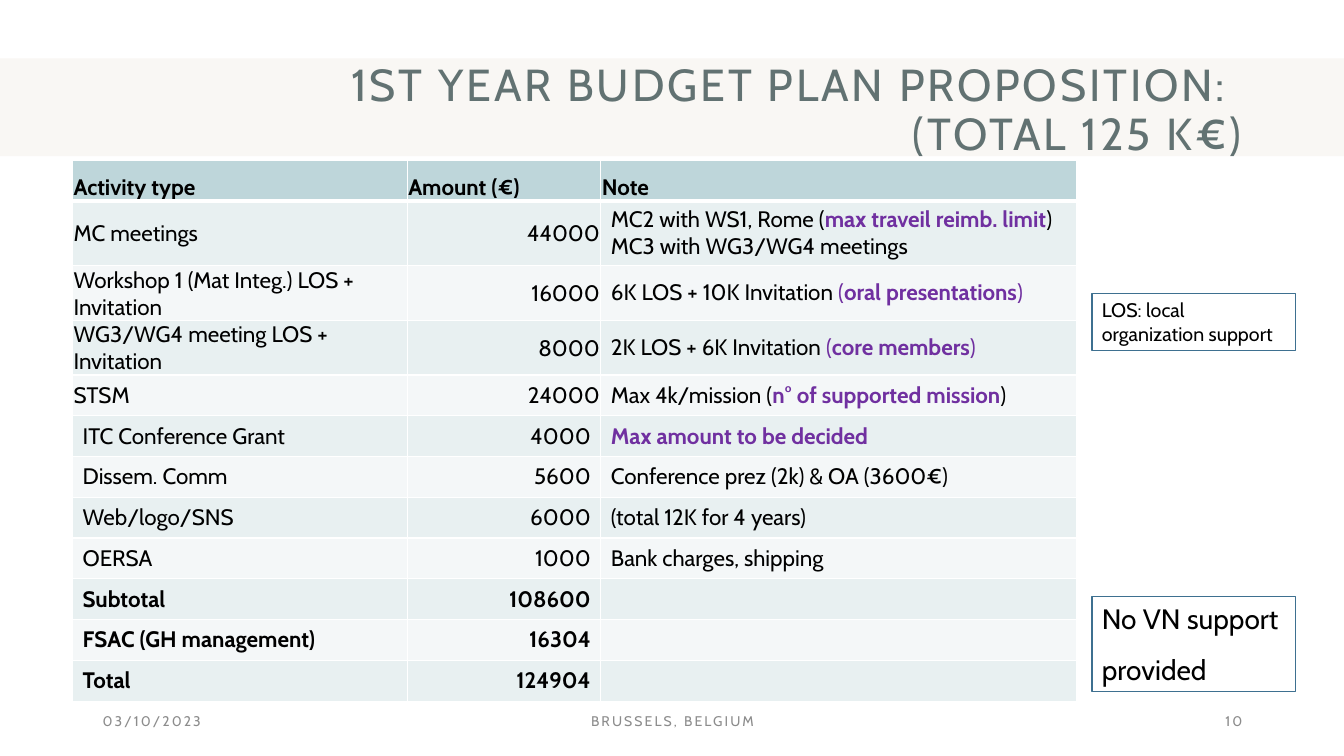
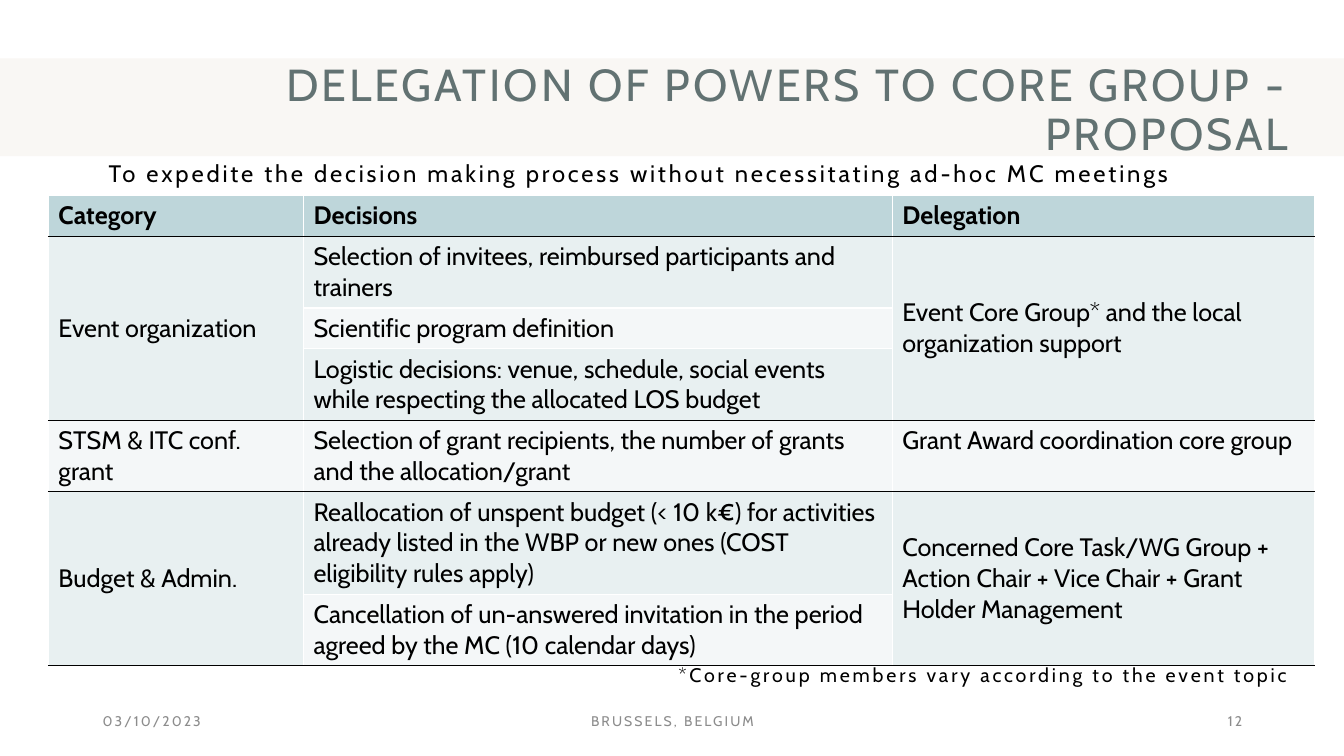
from lxml import etree
from pptx import Presentation
from pptx.dml.color import RGBColor
from pptx.enum import shapes, text
from pptx.oxml.ns import qn
from pptx.util import Inches, Pt


class Theme:
    font = "Cabin"
    ink, white = "000000", "FFFFFF"
    slate, grey, sand = "627272", "8C8C8C", "D8CAB7"
    hot, frame = "7030A0", "3E7090"
    head, bands = "BED6DA", ("F4F7F8", "E8F0F1")
    title, lead, foot = 32, 17, 10
    budget, powers, note, call = 16, 18, 14, 20


LEFT, MID, RIGHT = text.PP_ALIGN.LEFT, text.PP_ALIGN.CENTER, text.PP_ALIGN.RIGHT
TOP, CENTER, BOTTOM = (text.MSO_ANCHOR.TOP, text.MSO_ANCHOR.MIDDLE,
                       text.MSO_ANCHOR.BOTTOM)

# Content: a note is a list of paragraphs, each a list of (words, tone)
PLAIN, SOFT, HOT = "plain", "soft", "hot"
DATE, PLACE = "03/10/2023", "BRUSSELS, BELGIUM"

BUDGET = {
    "title": "1ST YEAR BUDGET PLAN PROPOSITION: \v(TOTAL 125 K€)",
    "page": "10",
    "head": ["Activity type", "Amount (€)", "Note"],
    "rows": [
        ("MC meetings", 44000,
         [[("MC2 with WS1, Rome (", PLAIN), ("max traveil reimb. limit", HOT),
           (")", PLAIN)],
          [("MC3 with WG3/WG4 meetings", PLAIN)]]),
        ("Workshop 1 (Mat Integ.) LOS + Invitation", 16000,
         [[("6K LOS + 10K Invitation ", PLAIN), ("(", SOFT),
           ("oral presentations", HOT), (")", SOFT)]]),
        ("WG3/WG4 meeting LOS + Invitation", 8000,
         [[("2K LOS + 6K Invitation ", PLAIN), ("(", SOFT),
           ("core members", HOT), (")", SOFT)]]),
        ("STSM", 24000,
         [[("Max 4k/mission (", PLAIN), ("n° of supported mission", HOT),
           (")", PLAIN)]]),
        ("ITC Conference Grant", 4000, [[("Max amount to be decided", HOT)]]),
        ("Dissem. Comm", 5600, [[("Conference prez (2k) & OA (3600€)", PLAIN)]]),
        ("Web/logo/SNS", 6000, [[("(total 12K for 4 years)", PLAIN)]]),
        ("OERSA", 1000, [[("Bank charges, shipping", PLAIN)]]),
        ("Subtotal", 108600, []),
        ("FSAC (GH management)", 16304, []),
        ("Total", 124904, []),
    ],
    "tight": 4,  # leading rows with narrow cell margins
    "tall": {1: 0.64, 2: 0.54, 3: 0.54},
    # top, height, size, paragraphs
    "calls": [(2.91, 0.57, Theme.note, ["LOS: local organization support"]),
              (5.92, 0.94, Theme.call, ["No VN support", "provided"])],
}

POWERS = {
    "title": "DELEGATION OF POWERS TO CORE GROUP - PROPOSAL",
    "page": "12",
    "lead": "To expedite the decision making process without necessitating "
            "ad-hoc MC meetings",
    "note": "*Core-group members vary according to the event topic",
    "head": ["Category", "Decisions", "Delegation"],
    # category, decisions with their line counts, delegation
    "groups": [
        ("Event organization",
         [("Selection of invitees, reimbursed participants and trainers", 2),
          ("Scientific program definition", 1),
          ("Logistic decisions: venue, schedule, social events while "
           "respecting the allocated LOS budget", 2)],
         "Event Core Group* and the local organization support"),
        ("STSM & ITC conf. grant",
         [("Selection of grant recipients, the number of grants and the "
           "allocation/grant", 2)],
         "Grant Award coordination core group"),
        ("Budget & Admin.",
         [("Reallocation of unspent budget (< 10 k€) for activities already "
           "listed in the WBP or new ones (COST eligibility rules apply)", 3),
          ("Cancellation of un-answered invitation in the period agreed by "
           "the MC (10 calendar days)", 2)],
         "Concerned Core Task/WG Group + Action Chair + Vice Chair + Grant "
         "Holder Management"),
    ],
}


def rgb(code):
    return RGBColor.from_string(code)


def style(para, size, color=Theme.ink, bold=False, align=LEFT, gap=0, lead=None):
    """Format one paragraph; gap is letter spacing in points."""
    para.alignment = align
    if lead:
        para.line_spacing = lead
    font = para.font
    font.name, font.size, font.bold = Theme.font, Pt(size), bold
    font.color.rgb = rgb(color)
    if gap:
        for run in para.runs:
            run._r.get_or_add_rPr().set("spc", str(int(gap * 100)))


def label(slide, box, words, size, anchor=TOP, **look):
    frame = slide.shapes.add_textbox(*map(Inches, box)).text_frame
    frame.word_wrap = True
    frame.vertical_anchor = anchor
    frame.text = words
    style(frame.paragraphs[0], size, **look)


# Shared parts
def add_band(layout, slide, width):
    """Draw the title band and hand it to the layout, behind every title."""
    band = slide.shapes.add_shape(shapes.MSO_SHAPE.RECTANGLE, 0, Inches(0.58),
                                  width, Inches(0.97))
    band.shadow.inherit = False
    band.line.fill.background()
    band.fill.solid()
    band.fill.fore_color.rgb = rgb(Theme.sand)
    tint = band._element.spPr.find(".//" + qn("a:srgbClr"))
    etree.SubElement(tint, qn("a:alpha")).set("val", "15000")
    layout.shapes._spTree.append(band._element)


def add_frame(slide, data, left, width):
    """Title and footer."""
    title = slide.shapes.title
    title.left, title.top, title.width, title.height = map(
        Inches, (left, 0.71, width, 0.79))
    frame = title.text_frame
    frame.text = data["title"]
    frame.word_wrap = True
    frame.auto_size = text.MSO_AUTO_SIZE.NONE
    frame.vertical_anchor = CENTER
    style(frame.paragraphs[0], Theme.title, Theme.slate, align=RIGHT, gap=2,
          lead=0.9)
    for x, wide, words, align in ((0.92, 3, DATE, LEFT), (4.42, 4.5, PLACE, MID),
                                  (9.42, 3, data["page"], RIGHT)):
        label(slide, (x, 6.95, wide, 0.4), words, Theme.foot, CENTER,
              color=Theme.grey, align=align, gap=1.5)


# Tables
def add_grid(slide, left, top, cols, rows):
    box = map(Inches, (left, top, sum(cols), sum(rows)))
    grid = slide.shapes.add_table(len(rows), len(cols), *box).table
    for col, wide in zip(grid.columns, cols):
        col.width = Inches(wide)
    for row, high in zip(grid.rows, rows):
        row.height = Inches(high)
    return grid


def paint(cell, fill, top=Theme.white, bottom=Theme.white, base=1):
    """Set borders, then the fill that must follow them."""
    props = cell._tc.get_or_add_tcPr()
    for tag, color, wide in (("lnL", Theme.white, 1), ("lnR", Theme.white, 1),
                             ("lnT", top, 1), ("lnB", bottom, base)):
        line = etree.SubElement(props, qn("a:" + tag), w=str(Pt(wide)))
        solid = etree.SubElement(line, qn("a:solidFill"))
        etree.SubElement(solid, qn("a:srgbClr"), val=color)
    cell.fill.solid()
    cell.fill.fore_color.rgb = rgb(fill)


def write(cell, words, size, anchor=TOP, **look):
    cell.text = words
    cell.vertical_anchor = anchor
    style(cell.text_frame.paragraphs[0], size, **look)


def tighten(cell):
    cell.margin_left = cell.margin_right = cell.margin_top = Inches(0.01)
    cell.margin_bottom = 0


def write_note(cell, paras):
    cell.vertical_anchor = CENTER
    frame = cell.text_frame
    for i, parts in enumerate(paras):
        para = frame.add_paragraph() if i else frame.paragraphs[0]
        for words, tone in parts:
            run = para.add_run()
            run.text = words
            if tone != PLAIN:
                run.font.color.rgb = rgb(Theme.hot)
                run.font.bold = tone == HOT
        style(para, Theme.budget)


def add_call(slide, top, high, size, lines):
    box = slide.shapes.add_shape(shapes.MSO_SHAPE.RECTANGLE,
                                 *map(Inches, (10.83, top, 2.02, high)))
    box.shadow.inherit = False
    box.fill.solid()
    box.fill.fore_color.rgb = rgb(Theme.white)
    box.line.color.rgb = rgb(Theme.frame)
    box.line.width = Pt(1)
    frame = box.text_frame
    frame.word_wrap = True
    frame.vertical_anchor = TOP
    frame.text = "\n".join(lines)
    for i, para in enumerate(frame.paragraphs):
        if i:
            para.space_before = Pt(12)
        style(para, size)


# Slides
def budget_slide(slide, data):
    add_frame(slide, data, 0.92, 11.5)
    count, tall = len(data["rows"]) + 1, data["tall"]
    base = (5.36 - sum(tall.values())) / (count - len(tall))
    highs = [tall.get(r, base) for r in range(count)]
    grid = add_grid(slide, 0.72, 1.59, (3.32, 1.92, 4.72), highs)
    for c, words in enumerate(data["head"]):
        cell = grid.cell(0, c)
        write(cell, words, Theme.budget, BOTTOM, bold=True)
        tighten(cell)
        paint(cell, Theme.head, base=3)
    for r, (name, amount, note) in enumerate(data["rows"], 1):
        cells = [grid.cell(r, c) for c in range(3)]
        look = dict(size=Theme.budget, anchor=CENTER, bold=not note)
        write(cells[0], name, **look)
        write(cells[1], str(amount), align=RIGHT, **look)
        write_note(cells[2], note)
        for cell in cells:
            paint(cell, Theme.bands[r % 2])
        if r <= data["tight"]:
            for cell in cells[:2]:
                tighten(cell)
    for call in data["calls"]:
        add_call(slide, *call)


def powers_slide(slide, data):
    add_frame(slide, data, 0.39, 12.49)
    label(slide, (0.98, 1.58, 11.49, 0.46), data["lead"], Theme.lead, gap=2,
          lead=0.8)
    lines = [1] + [n for _, items, _ in data["groups"] for _, n in items]
    highs = [0.1 + 0.305 * n for n in lines]
    grid = add_grid(slide, 0.48, 1.94, (2.53, 5.84, 4.19), highs)
    for c, words in enumerate(data["head"]):
        write(grid.cell(0, c), words, Theme.powers, bold=True)
        paint(grid.cell(0, c), Theme.head, bottom=Theme.ink)
    first = 1
    for name, items, owner in data["groups"]:
        last = first + len(items) - 1
        for c, words in ((0, name), (2, owner)):
            cell = grid.cell(first, c)
            if last > first:
                cell.merge(grid.cell(last, c))
            write(cell, words, Theme.powers, CENTER if last > first else TOP)
            paint(cell, Theme.bands[first % 2], Theme.ink, Theme.ink)
        for r, (words, _) in enumerate(items, first):
            write(grid.cell(r, 1), words, Theme.powers)
            paint(grid.cell(r, 1), Theme.bands[r % 2],
                  Theme.ink if r == first else Theme.white,
                  Theme.ink if r == last else Theme.white)
        first = last + 1
    label(slide, (6.63, 6.55, 6.67, 0.46), data["note"], Theme.note, gap=2,
          lead=0.9)


def main():
    deck = Presentation()
    deck.slide_width, deck.slide_height = Inches(13.33), Inches(7.5)
    layout = deck.slide_layouts[5]
    pages = [deck.slides.add_slide(layout) for _ in range(2)]
    add_band(layout, pages[0], deck.slide_width)
    budget_slide(pages[0], BUDGET)
    powers_slide(pages[1], POWERS)
    deck.save("out.pptx")


if __name__ == "__main__":
    main()
